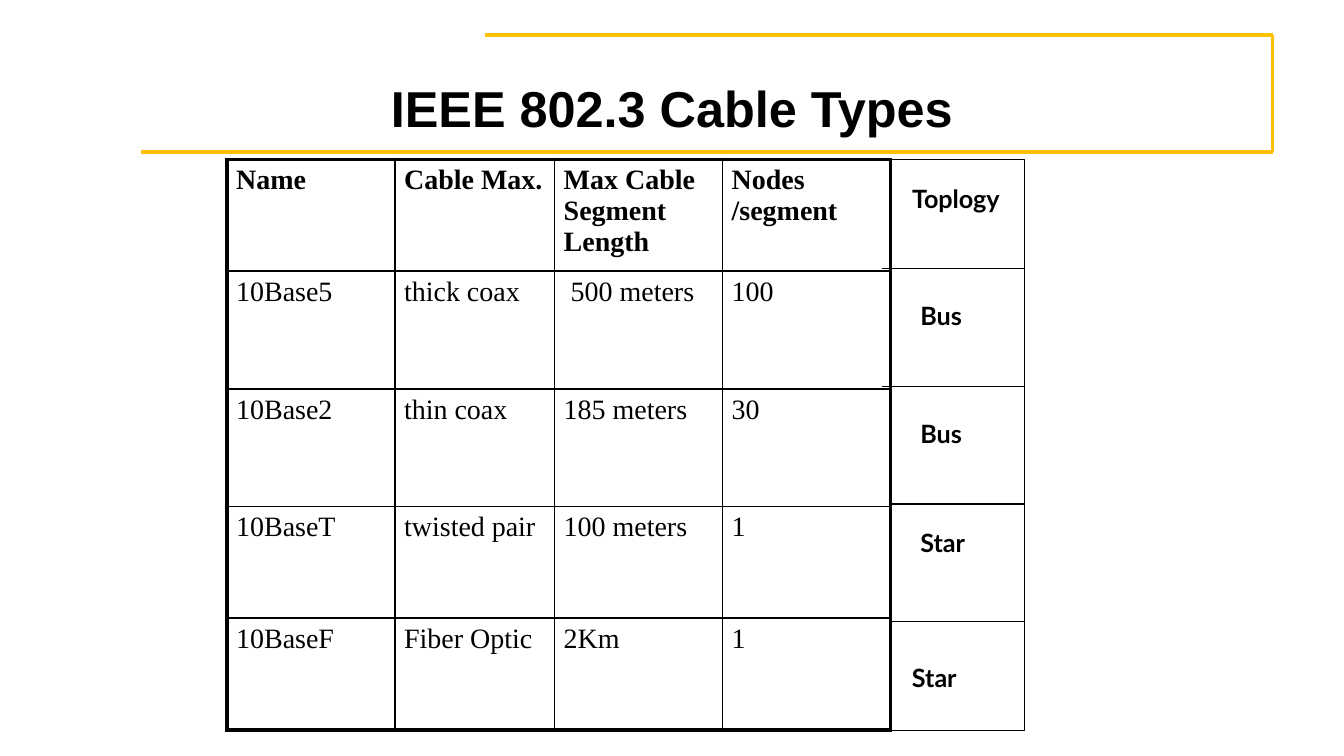
from dataclasses import dataclass

from lxml.etree import SubElement
from pptx import Presentation
from pptx.dml.color import RGBColor as RGB
from pptx.enum.shapes import MSO_CONNECTOR as CONN, MSO_SHAPE as SHAPE
from pptx.enum.text import MSO_ANCHOR as ANCHOR, MSO_AUTO_SIZE as AUTO, PP_ALIGN as ALIGN
from pptx.oxml.ns import qn
from pptx.util import Inches, Pt


@dataclass(frozen=True)
class Theme:
    ink: RGB = RGB(0x00, 0x00, 0x00)
    accent: RGB = RGB(0xFF, 0xC1, 0x00)
    title_font: str = "Arial"
    table_font: str = "Times New Roman"
    label_font: str = "Lato"
    title_size: float = 27
    table_size: float = 15
    label_size: float = 13.5
    frame_line: float = 2
    thin_line: float = 0.75
    inner_border: float = 1
    outer_border: float = 2.25


class Deck:
    COLS, ROWS = 160, 90

    def __init__(self, theme):
        self.theme = theme
        self.prs = Presentation()
        self.prs.slide_width, self.prs.slide_height = Inches(10), Inches(5.625)
        self.s = self.prs.slides.add_slide(self.prs.slide_layouts[5])

    def x(self, cols):
        return round(self.prs.slide_width * cols / self.COLS)

    def y(self, rows):
        return round(self.prs.slide_height * rows / self.ROWS)

    def box(self, left, top, width, height):
        return self.x(left), self.y(top), self.x(width), self.y(height)

    def style(self, p, font, size, bold):
        for r in p.runs:
            r.font.name, r.font.size, r.font.bold = font, Pt(size), bold
            r.font.color.rgb = self.theme.ink

    def title(self, text, *place):
        sp = self.s.shapes.title
        sp.left, sp.top, sp.width, sp.height = self.box(*place)
        tf = sp.text_frame
        tf.text = text
        tf.word_wrap, tf.auto_size = True, AUTO.NONE
        tf.vertical_anchor = ANCHOR.TOP
        tf.margin_left = tf.margin_right = tf.margin_top = Inches(0.07)
        tf.margin_bottom = Inches(0.04)
        p = tf.paragraphs[0]
        p.alignment = ALIGN.CENTER
        self.style(p, self.theme.title_font, self.theme.title_size, True)

    def line(self, start, end, color, width):
        cx = self.s.shapes.add_connector(
            CONN.STRAIGHT, self.x(start[0]), self.y(start[1]), self.x(end[0]), self.y(end[1]))
        cx.line.color.rgb, cx.line.width = color, Pt(width)
        SubElement(cx._element.spPr, qn("a:effectLst"))

    def outline(self, *place):
        sp = self.s.shapes.add_shape(SHAPE.RECTANGLE, *self.box(*place))
        sp.shadow.inherit = False
        sp.fill.background()
        sp.line.color.rgb, sp.line.width = self.theme.ink, Pt(self.theme.thin_line)

    def label(self, text, *place):
        tf = self.s.shapes.add_textbox(*self.box(*place)).text_frame
        tf.text = text
        tf.word_wrap, tf.auto_size = True, AUTO.SHAPE_TO_FIT_TEXT
        self.style(tf.paragraphs[0], self.theme.label_font, self.theme.label_size, True)

    def borders(self, cell, edges):
        tcPr = cell._tc.get_or_add_tcPr()
        for side, outer in edges.items():
            width = self.theme.outer_border if outer else self.theme.inner_border
            ln = SubElement(tcPr, qn(f"a:ln{side}"), w=str(Pt(width)))
            fill = SubElement(ln, qn("a:solidFill"))
            SubElement(fill, qn("a:srgbClr"), val=str(self.theme.ink))

    def table(self, rows, left, top, widths, heights):
        place = self.box(left, top, sum(widths), sum(heights))
        table = self.s.shapes.add_table(len(rows), len(widths), *place).table
        table.first_row = table.horz_banding = False
        for col, width in zip(table.columns, widths):
            col.width = self.x(width)
        for row, height in zip(table.rows, heights):
            row.height = self.y(height)
        last_row, last_col = len(rows) - 1, len(widths) - 1
        for i, texts in enumerate(rows):
            for j, text in enumerate(texts):
                cell = table.cell(i, j)
                cell.text = text
                cell.margin_left = cell.margin_right = Inches(0.07)
                cell.margin_top = cell.margin_bottom = Inches(0.04)
                self.style(cell.text_frame.paragraphs[0], self.theme.table_font,
                           self.theme.table_size, i == 0)
                self.borders(cell, {"L": j == 0, "R": j == last_col,
                                    "T": i == 0, "B": i == last_row})
                cell.fill.background()


CABLES = [
    ("Name", "Cable Max.", "Max Cable Segment Length", "Nodes /segment"),
    ("10Base5", "thick coax", " 500 meters", "100"),
    ("10Base2", "thin coax", "185 meters", "30"),
    ("10BaseT", "twisted pair", "100 meters", "1"),
    ("10BaseF", "Fiber Optic", "2Km", "1"),
]
TOPOLOGIES = [
    ("Toplogy", 107, 21, 22),
    ("Bus", 108, 35, 13),
    ("Bus", 108, 49, 13),
    ("Star", 108, 62, 13),
    ("Star", 107, 78, 13),
]
FRAME = [(57.8, 4.16), (151.5, 4.16), (151.5, 18.1), (16.8, 18.1)]
DIVIDER_STARTS = [105, 105, 106, 106]


def main():
    theme = Theme()
    deck = Deck(theme)
    for start, end in zip(FRAME, FRAME[1:]):
        deck.line(start, end, theme.accent, theme.frame_line)
    deck.title("IEEE 802.3 Cable Types", 29, 8, 102, 15)
    deck.table(CABLES, 27, 19, (20, 19, 20, 20), (13.3, 14, 14, 13.3, 13.3))
    deck.outline(106, 19, 16, 68)
    for i, left in enumerate(DIVIDER_STARTS):
        row = 32 + 14 * i
        deck.line((left, row), (122, row), theme.ink, theme.thin_line)
    for text, left, top, width in TOPOLOGIES:
        deck.label(text, left, top, width, 5.3)
    deck.prs.save("out.pptx")


if __name__ == "__main__":
    main()
